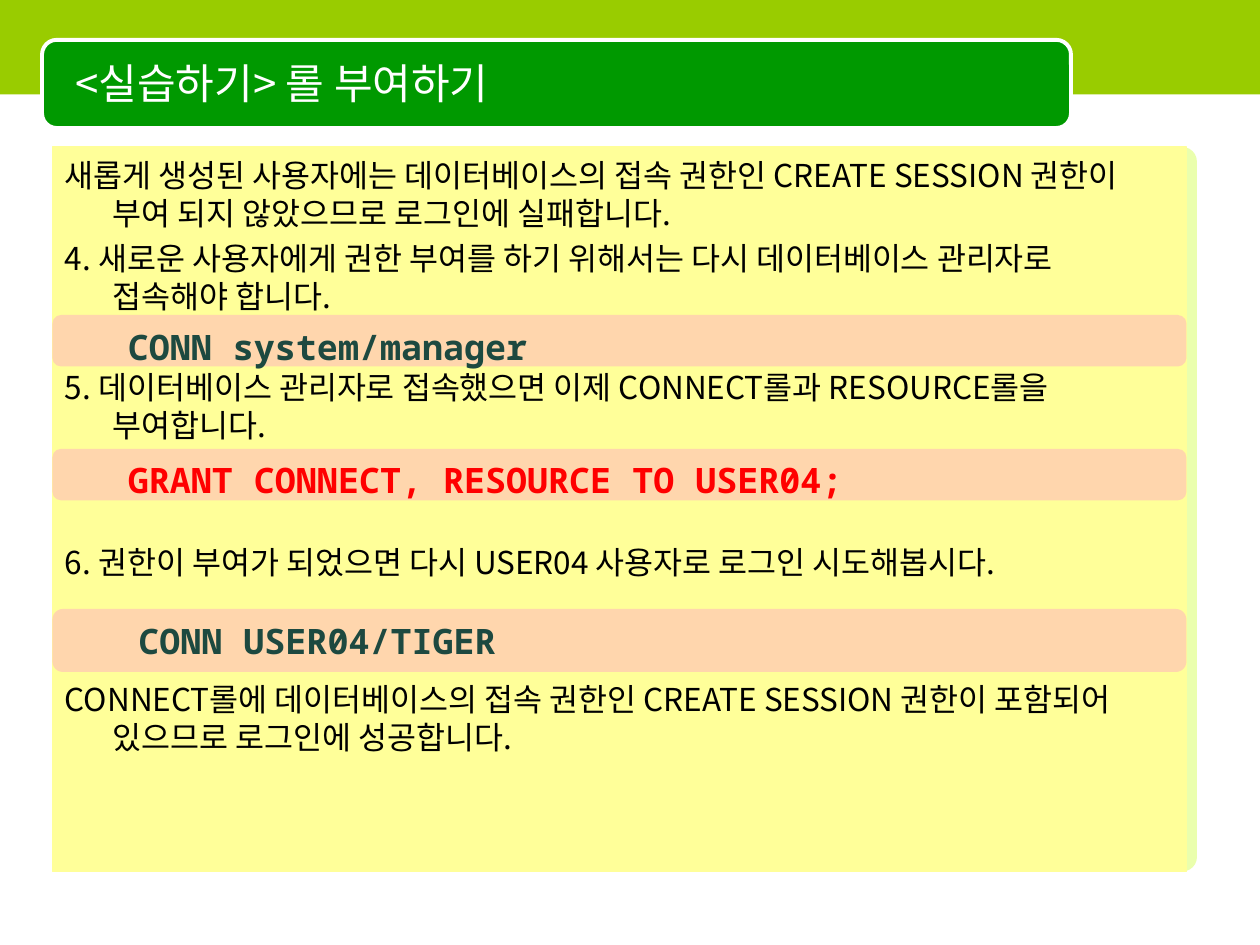
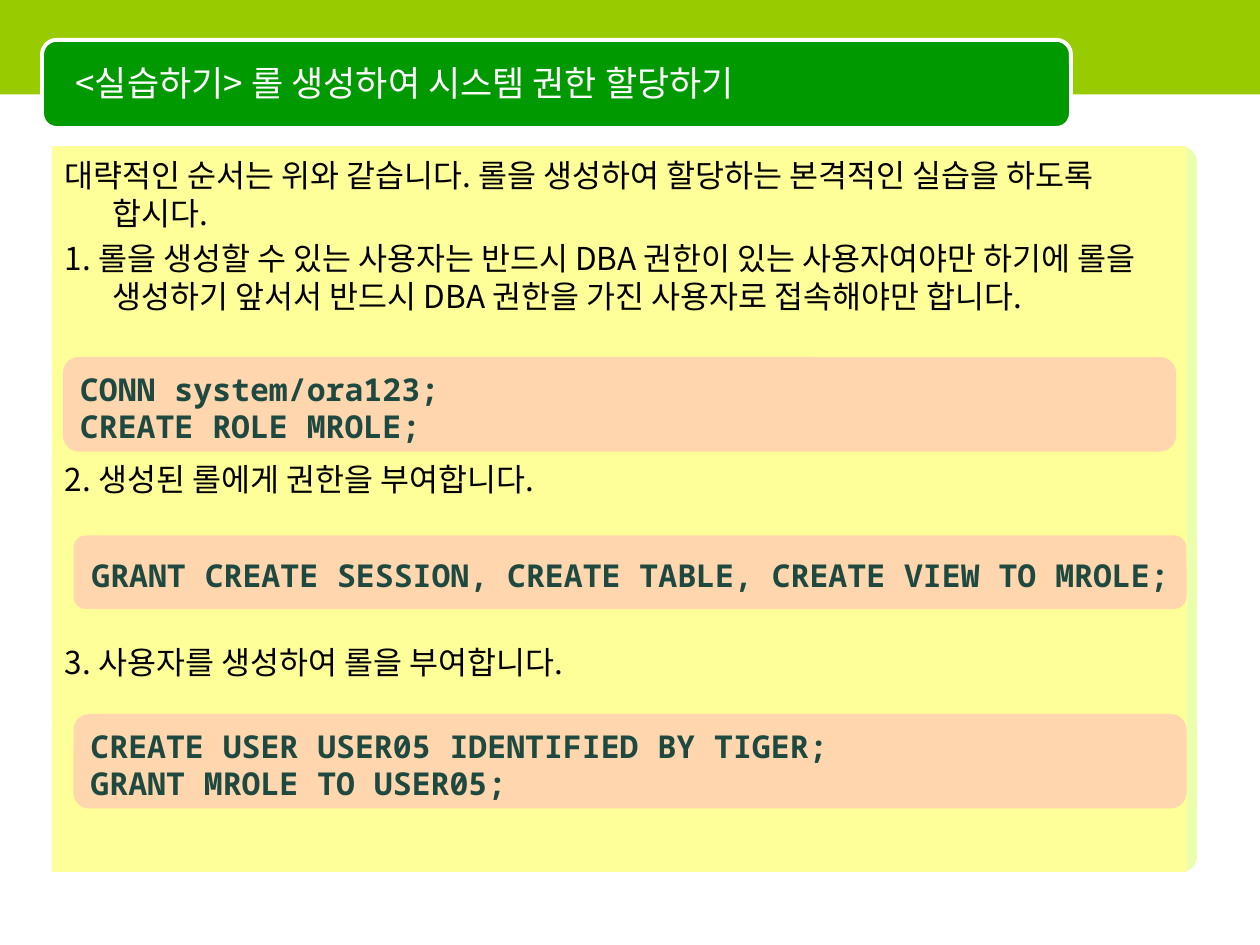
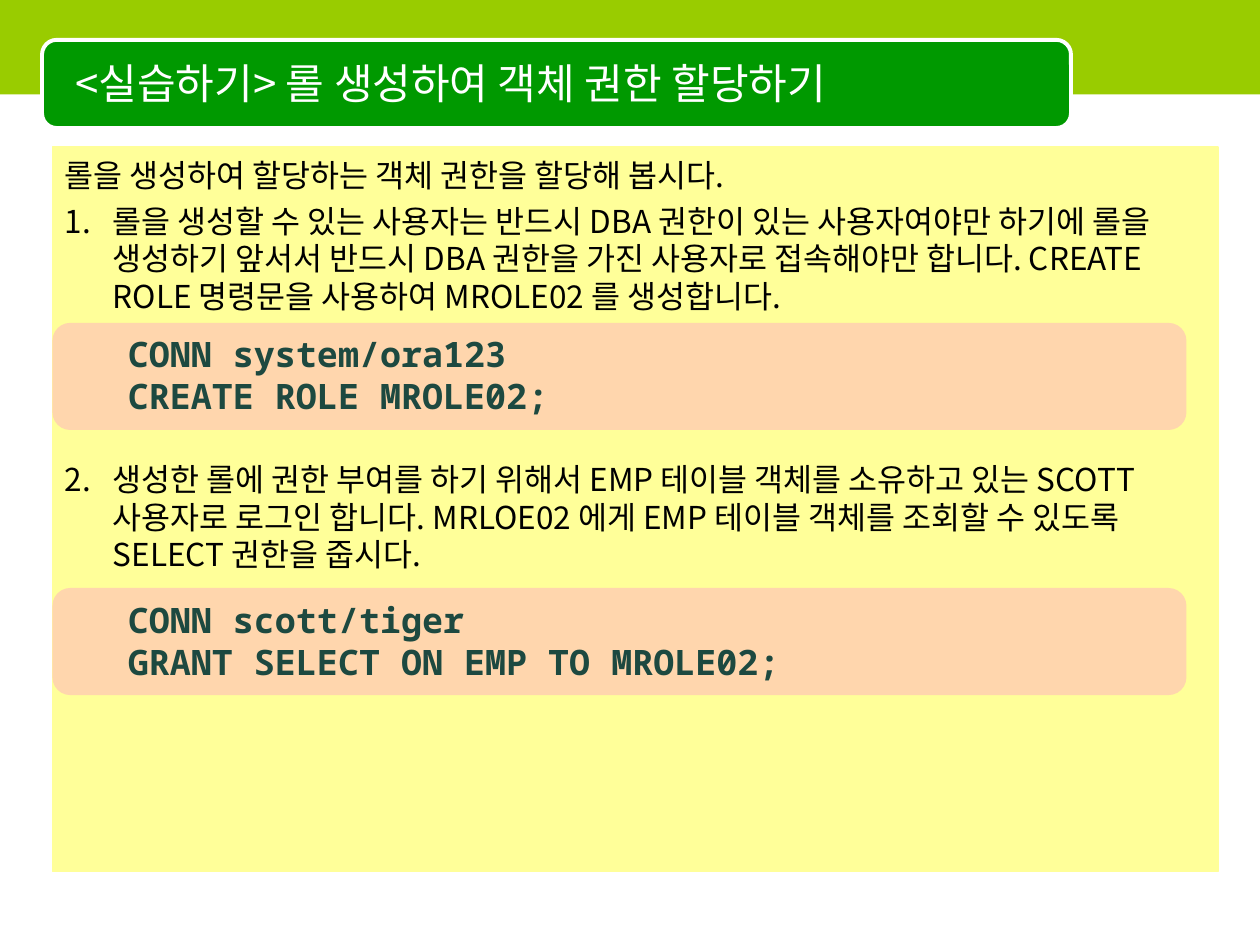
from lxml import etree
from pptx import Presentation
from pptx.dml.color import RGBColor
from pptx.enum.shapes import MSO_SHAPE
from pptx.enum.text import MSO_ANCHOR, PP_ALIGN
from pptx.oxml.ns import qn
from pptx.util import Inches, Pt

RECT = MSO_SHAPE.RECTANGLE
ROUNDED = MSO_SHAPE.ROUNDED_RECTANGLE
TOP, MIDDLE = MSO_ANCHOR.TOP, MSO_ANCHOR.MIDDLE
LEFT, CENTER = PP_ALIGN.LEFT, PP_ALIGN.CENTER

WHITE = RGBColor(0xFF, 0xFF, 0xFF)
BLACK = RGBColor(0, 0, 0)
LIME = RGBColor(0x99, 0xCC, 0x00)
PALE_LIME = RGBColor(0xCC, 0xFF, 0x33)
GREEN = RGBColor(0x00, 0x99, 0x00)
YELLOW = RGBColor(0xFF, 0xFF, 0x99)
PINK = RGBColor(0xFF, 0x99, 0xCC)
DARK_TEAL = RGBColor(0x1D, 0x49, 0x40)
RED = RGBColor(0xFF, 0, 0)

KOREAN = "Noto Sans CJK KR"
MONO = "Noto Sans Mono"

CELL = Inches(1) / 12
LINE_RATIO = 1.2
STEP_SIZE = 18
STEP_GAP = 4.5
EMPTY_ROW = STEP_SIZE * LINE_RATIO + STEP_GAP
HANG = Inches(0.38)


def grid(*cells):
    return [round(cell * CELL) for cell in cells]


def add_panel(shapes, box, fill, kind=RECT, line=None, line_width=0.75, opacity=None, corner=None):
    panel = shapes.add_shape(kind, *grid(*box))
    panel.shadow.inherit = False
    panel.fill.solid()
    panel.fill.fore_color.rgb = fill
    if opacity is not None:
        color = panel.fill._xPr.find(qn("a:solidFill"))[0]
        etree.SubElement(color, qn("a:alpha")).set("val", str(opacity * 1000))
    if line is None:
        panel.line.fill.background()
    else:
        panel.line.color.rgb = line
        panel.line.width = Pt(line_width)
    if corner is not None:
        panel.adjustments[0] = corner
    return panel


def write(frame, lines, font=KOREAN, size=STEP_SIZE, color=BLACK, bold=False, anchor=TOP,
          align=LEFT, wrap=True, inset_top=0.05, line_height=None):
    frame.word_wrap = wrap
    frame.vertical_anchor = anchor
    frame.margin_left = frame.margin_right = Inches(0.1)
    frame.margin_top = Inches(inset_top)
    frame.margin_bottom = Inches(0.05)
    for index, line in enumerate(lines):
        paragraph = frame.add_paragraph() if index else frame.paragraphs[0]
        paragraph.alignment = align
        if line_height:
            paragraph.line_spacing = Pt(line_height)
        run = paragraph.add_run()
        run.text = line
        run.font.name = font
        run.font.size = Pt(size)
        run.font.bold = bold
        run.font.color.rgb = color
        east_asian = etree.SubElement(run._r.get_or_add_rPr(), qn("a:ea"))
        east_asian.set("typeface", font)


def number_paragraph(properties, start):
    bullet_color = etree.SubElement(properties, qn("a:buClr"))
    etree.SubElement(bullet_color, qn("a:srgbClr")).set("val", str(BLACK))
    numbering = etree.SubElement(properties, qn("a:buAutoNum"))
    numbering.set("type", "arabicPeriod")
    numbering.set("startAt", str(start))


def add_lesson(deck, title, title_size=24):
    slide = deck.slides.add_slide(deck.slide_layouts[6])
    add_panel(slide.shapes, (6, 14, 108, 69), PALE_LIME, ROUNDED, opacity=40, corner=0.02)
    add_panel(slide.shapes, (0, 0, 120, 9), LIME)
    add_panel(slide.shapes, (4, 3.8, 98, 8.4), GREEN, ROUNDED, line=WHITE, line_width=2.25)
    heading = slide.shapes.add_textbox(*grid(6, 4.2, 95, 7.4))
    write(heading.text_frame, [title], size=title_size, color=WHITE, anchor=MIDDLE)
    return slide


def add_steps(slide, steps, columns=108):
    body = add_panel(slide.shapes, (5, 14, columns, 69), YELLOW, line=YELLOW)
    write(body.text_frame, [text for text, *_ in steps], inset_top=0.07,
          line_height=STEP_SIZE * LINE_RATIO)
    for index, (paragraph, step) in enumerate(zip(body.text_frame.paragraphs, steps)):
        _, empty_rows, number = step
        paragraph.space_before = Pt(round(STEP_GAP + empty_rows * EMPTY_ROW, 1) if index else 0)
        properties = paragraph._p.get_or_add_pPr()
        properties.set("marL", str(HANG))
        properties.set("indent", str(-HANG))
        if number:
            number_paragraph(properties, number)


def add_command(slide, row, rows, lines, indent=6, color=DARK_TEAL):
    group = slide.shapes.add_group_shape()
    add_panel(group.shapes, (5, row, 108, rows), PINK, ROUNDED, opacity=40)
    command = group.shapes.add_textbox(*grid(5 + indent, row, 102, rows))
    write(command.text_frame, lines, font=MONO, size=20, color=color, bold=True,
          inset_top=0.08, line_height=20 * LINE_RATIO)


def add_command_box(slide, column, row, rows, lines, align=LEFT):
    box = add_panel(slide.shapes, (column, row, 106, rows), PINK, ROUNDED, opacity=40)
    write(box.text_frame, lines, font=MONO, color=DARK_TEAL, bold=True, anchor=MIDDLE,
          align=align, wrap=False, inset_top=0.1, line_height=STEP_SIZE * LINE_RATIO)


def build_grant_lesson(deck):
    slide = add_lesson(deck, "<실습하기> 롤 부여하기")
    add_steps(slide, [
        ("새롭게 생성된 사용자에는 데이터베이스의 접속 권한인 CREATE SESSION 권한이 "
         "부여 되지 않았으므로 로그인에 실패합니다.", 0, None),
        ("4. 새로운 사용자에게 권한 부여를 하기 위해서는 다시 데이터베이스 관리자로 "
         "접속해야 합니다.", 0, None),
        ("5. 데이터베이스 관리자로 접속했으면 이제 CONNECT롤과 RESOURCE롤을 "
         "부여합니다.", 1, None),
        ("6. 권한이 부여가 되었으면 다시 USER04 사용자로 로그인 시도해봅시다.", 2, None),
        ("CONNECT롤에 데이터베이스의 접속 권한인 CREATE SESSION 권한이 포함되어 "
         "있으므로 로그인에 성공합니다.", 2, None),
    ])
    add_command(slide, 30, 4.9, ["CONN system/manager"])
    add_command(slide, 42.75, 4.9, ["GRANT CONNECT, RESOURCE TO USER04;"], color=RED)
    add_command(slide, 58, 6, ["CONN USER04/TIGER"], indent=7)


def build_system_role_lesson(deck):
    slide = add_lesson(deck, "<실습하기> 롤 생성하여 시스템 권한 할당하기", title_size=20)
    add_steps(slide, [
        ("대략적인 순서는 위와 같습니다. 롤을 생성하여 할당하는 본격적인 실습을 하도록 "
         "합시다.", 0, None),
        ("1. 롤을 생성할 수 있는 사용자는 반드시 DBA 권한이 있는 사용자여야만 하기에 "
         "롤을 생성하기 앞서서 반드시 DBA 권한을 가진 사용자로 접속해야만 합니다.", 0, None),
        ("2. 생성된 롤에게 권한을 부여합니다.", 3, None),
        ("3. 사용자를 생성하여 롤을 부여합니다.", 3, None),
    ])
    add_command_box(slide, 6, 34, 9, ["CONN system/ora123;", "CREATE ROLE MROLE;"])
    add_command_box(slide, 7, 51, 7,
                    ["GRANT CREATE SESSION, CREATE TABLE, CREATE VIEW TO MROLE;"], align=CENTER)
    add_command_box(slide, 7, 68, 9,
                    ["CREATE USER USER05 IDENTIFIED BY TIGER;", "GRANT MROLE TO USER05;"])


def build_object_role_lesson(deck):
    slide = add_lesson(deck, "<실습하기> 롤 생성하여 객체 권한 할당하기")
    add_steps(slide, [
        ("롤을 생성하여 할당하는 객체 권한을 할당해 봅시다.", 0, None),
        ("롤을 생성할 수 있는 사용자는 반드시 DBA 권한이 있는 사용자여야만 하기에 롤을 "
         "생성하기 앞서서 반드시 DBA 권한을 가진 사용자로 접속해야만 합니다. CREATE "
         "ROLE 명령문을 사용하여 MROLE02 를 생성합니다.", 0, 1),
        ("생성한 롤에 권한 부여를 하기 위해서 EMP 테이블 객체를 소유하고 있는 SCOTT "
         "사용자로 로그인 합니다. MRLOE02 에게 EMP 테이블 객체를 조회할 수 있도록 "
         "SELECT 권한을 줍시다.", 3, 2),
    ], columns=111)
    add_command(slide, 30.75, 10.2, ["CONN system/ora123", "CREATE ROLE MROLE02;"])
    add_command(slide, 56, 10.2, ["CONN scott/tiger", "GRANT SELECT ON EMP TO MROLE02;"])


def main():
    deck = Presentation()
    deck.slide_width = Inches(10)
    deck.slide_height = Inches(7.5)
    build_grant_lesson(deck)
    build_system_role_lesson(deck)
    build_object_role_lesson(deck)
    deck.save("out.pptx")


if __name__ == "__main__":
    main()
